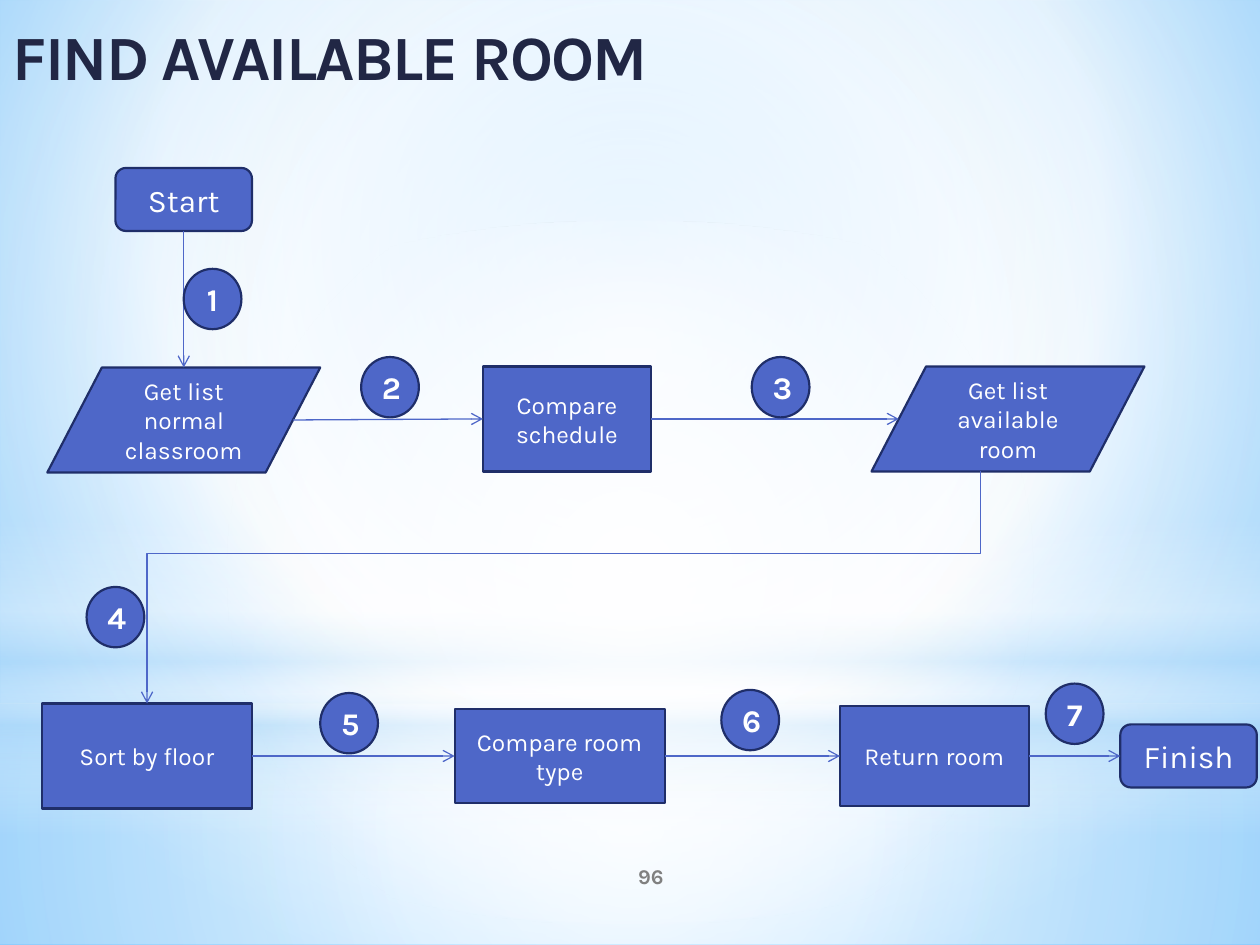
from typing import NamedTuple, Optional, Union

from lxml.etree import SubElement
from pptx import Presentation
from pptx.dml.color import RGBColor
from pptx.enum.shapes import MSO_CONNECTOR, MSO_SHAPE
from pptx.enum.text import MSO_ANCHOR, MSO_AUTO_SIZE, PP_ALIGN
from pptx.oxml.ns import qn
from pptx.util import Inches, Pt

COLUMNS, ROWS = 120, 90
UNIT = Inches(10) / COLUMNS
FONT = "Karla"
COLORS = {
    "white": "FFFFFF", "haze": "B4DCFA", "sky": "9ED5FF", "azure": "5BB9FF",
    "node": "4E67C8", "edge": "1F2E69", "title": "212745", "page": "808080",
}
TOP, LEFT, BOTTOM, RIGHT = range(4)


class Box(NamedTuple):
    col: float
    row: float
    cols: float
    rows: float


class Stop(NamedTuple):
    position: int
    color: str
    opacity: int = 100


class Glow(NamedTuple):
    preset: MSO_SHAPE
    box: Box
    stops: list[Stop]
    angle: Optional[int] = None


class Node(NamedTuple):
    label: str
    preset: MSO_SHAPE
    box: Box
    size: int = 14


class Point(NamedTuple):
    col: float
    row: float


class Joint(NamedTuple):
    label: str
    side: int


class Arrow(NamedTuple):
    start: Union[Point, Joint]
    end: Union[Point, Joint]


CENTER = (50, 50, 50, 50)
BACKDROP = [Stop(0, "sky"), Stop(60, "white"), Stop(100, "azure")]
GLOWS = [
    Glow(MSO_SHAPE.RECTANGLE, Box(0, 67, COLUMNS, 23),
         [Stop(0, "white", 91), Stop(37, "white", 76), Stop(100, "haze", 79)]),
    Glow(MSO_SHAPE.RECTANGLE, Box(0, 0, COLUMNS, 67),
         [Stop(0, "white", 89), Stop(48, "white", 62), Stop(100, "haze", 79)]),
    Glow(MSO_SHAPE.RECTANGLE, Box(0, 49.5, COLUMNS, 30),
         [Stop(0, "white", 0), Stop(29, "white", 30), Stop(45, "haze", 40),
          Stop(55, "white", 26), Stop(65, "haze", 60), Stop(100, "white", 0)], 90),
    Glow(MSO_SHAPE.OVAL, Box(0, 21, COLUMNS, 67),
         [Stop(0, "white"), Stop(56, "white", 0)]),
]

TERMINAL = MSO_SHAPE.FLOWCHART_ALTERNATE_PROCESS
DATA = MSO_SHAPE.FLOWCHART_DATA
PROCESS = MSO_SHAPE.FLOWCHART_PROCESS
NODES = [
    Node("Start", TERMINAL, Box(11, 16, 13, 6), 18),
    Node("Get list normal classroom", DATA, Box(4.5, 35, 26, 10)),
    Node("Compare schedule", PROCESS, Box(46, 34.9, 16, 10)),
    Node("Get list available room", DATA, Box(83, 34.9, 26, 10)),
    Node("Sort by floor", PROCESS, Box(4, 67, 20, 10)),
    Node("Compare room type", PROCESS, Box(43.3, 67.5, 20, 9)),
    Node("Return room", PROCESS, Box(80, 67.25, 18, 9.5)),
    Node("Finish", TERMINAL, Box(106.7, 69, 13, 6), 18),
]
ARROWS = [
    Arrow(Joint("Start", BOTTOM), Point(17.5, 35)),
    Arrow(Point(27.9, 40), Joint("Compare schedule", LEFT)),
    Arrow(Joint("Compare schedule", RIGHT), Point(85.6, 39.9)),
    Arrow(Joint("Sort by floor", RIGHT), Joint("Compare room type", LEFT)),
    Arrow(Joint("Compare room type", RIGHT), Joint("Return room", LEFT)),
    Arrow(Joint("Return room", RIGHT), Joint("Finish", LEFT)),
]
RETURN_START, RETURN_END, RETURN_BEND = Point(93.4, 44.9), Point(14, 67), 0.354
STEP_CORNERS = [
    Point(17.5, 25.6), Point(34.4, 34), Point(71.6, 34), Point(8.25, 55.9),
    Point(30.5, 66), Point(68.7, 65.7), Point(99.6, 65.1),
]


def grid(*counts: float) -> list[int]:
    return [round(count * UNIT) for count in counts]


def rgb(name: str) -> RGBColor:
    return RGBColor.from_string(COLORS[name])


def set_gradient(fill, holder, stops: list[Stop], focus=CENTER, angle=None) -> None:
    """Fill with a circular gradient, or a linear one when an angle is given."""
    fill.gradient()
    gradient = holder.find(".//" + qn("a:gradFill"))
    for child in list(gradient):
        gradient.remove(child)
    stop_list = SubElement(gradient, qn("a:gsLst"))
    for stop in stops:
        entry = SubElement(stop_list, qn("a:gs"), pos=str(stop.position * 1000))
        color = SubElement(entry, qn("a:srgbClr"), val=COLORS[stop.color])
        if stop.opacity < 100:
            SubElement(color, qn("a:alpha"), val=str(stop.opacity * 1000))
    if angle is not None:
        SubElement(gradient, qn("a:lin"), ang=str(angle * 60000), scaled="0")
        return
    circle = SubElement(gradient, qn("a:path"))
    circle.set("path", "circle")
    edges = {edge: str(share * 1000) for edge, share in zip("ltrb", focus)}
    SubElement(circle, qn("a:fillToRect"), **edges)


def write(shape, text: str, size: int, color: str, bold=False, align=PP_ALIGN.CENTER):
    frame = shape.text_frame
    frame.word_wrap = True
    frame.auto_size = MSO_AUTO_SIZE.NONE
    frame.vertical_anchor = MSO_ANCHOR.MIDDLE
    paragraph = frame.paragraphs[0]
    paragraph.alignment = align
    run = paragraph.add_run()
    run.text = text
    run.font.name, run.font.size, run.font.bold = FONT, Pt(size), bold
    run.font.color.rgb = rgb(color)
    return run


def add_glow(slide, glow: Glow) -> None:
    shape = slide.shapes.add_shape(glow.preset, *grid(*glow.box))
    shape.shadow.inherit = False
    shape.line.fill.background()
    set_gradient(shape.fill, shape._element.spPr, glow.stops, angle=glow.angle)


def add_node(slide, node: Node, bold: bool = False):
    shape = slide.shapes.add_shape(node.preset, *grid(*node.box))
    shape.shadow.inherit = False
    shape.fill.solid()
    shape.fill.fore_color.rgb = rgb("node")
    shape.line.color.rgb = rgb("edge")
    shape.line.width = Pt(1.25)
    write(shape, node.label, node.size, "white", bold)
    return shape


def style_arrow(connector) -> None:
    connector.line.color.rgb = rgb("node")
    connector.line.width = Pt(0.75)
    SubElement(connector.line._get_or_add_ln(), qn("a:tailEnd"), type="arrow")
    SubElement(connector._element.spPr, qn("a:effectLst"))


def add_arrow(slide, arrow: Arrow, shapes: dict) -> None:
    ends = [end if isinstance(end, Point) else Point(0, 0) for end in arrow]
    connector = slide.shapes.add_connector(
        MSO_CONNECTOR.STRAIGHT, *grid(*ends[0], *ends[1]))
    for end, join in zip(arrow, (connector.begin_connect, connector.end_connect)):
        if isinstance(end, Joint):
            join(shapes[end.label], end.side)
    style_arrow(connector)


def add_down_elbow(slide, start: Point, end: Point, bend: float) -> None:
    """Go down, left and down again: an elbow turned by a quarter."""
    drop, run = end.row - start.row, start.col - end.col
    left = (start.col + end.col - drop) / 2
    top = (start.row + end.row - run) / 2
    connector = slide.shapes.add_connector(
        MSO_CONNECTOR.ELBOW, *grid(left, top, left + drop, top + run))
    properties = connector._element.spPr
    properties.find(qn("a:xfrm")).set("rot", str(90 * 60000))
    guides = properties.find(qn("a:prstGeom")).get_or_add_avLst()
    SubElement(guides, qn("a:gd"), name="adj1", fmla=f"val {round(bend * 100000)}")
    style_arrow(connector)


def main() -> None:
    deck = Presentation()
    deck.slide_width, deck.slide_height = grid(COLUMNS, ROWS)
    slide = deck.slides.add_slide(deck.slide_layouts[5])
    set_gradient(slide.background.fill, slide._element, BACKDROP, (20, 10, 20, 60))
    for glow in GLOWS:
        add_glow(slide, glow)

    page_number = slide.shapes.add_textbox(*grid(50, 81, 24, 4.8))
    write(page_number, "96", 12, "page", bold=True)
    title = slide.shapes.title
    slide.shapes._spTree.append(title._element)
    title.left, title.top, title.width, title.height = grid(0, 0, 64, 10.5)
    heading = write(title, "FIND AVAILABLE ROOM", 36, "title", True, PP_ALIGN.LEFT)
    heading._r.get_or_add_rPr().set("spc", "-100")

    shapes = {node.label: add_node(slide, node) for node in NODES}
    for arrow in ARROWS:
        add_arrow(slide, arrow, shapes)
    add_down_elbow(slide, RETURN_START, RETURN_END, RETURN_BEND)
    for number, corner in enumerate(STEP_CORNERS, 1):
        step = Node(str(number), MSO_SHAPE.OVAL, Box(*corner, 5.5, 5.75), 18)
        add_node(slide, step, bold=True)
    deck.save("out.pptx")


if __name__ == "__main__":
    main()
